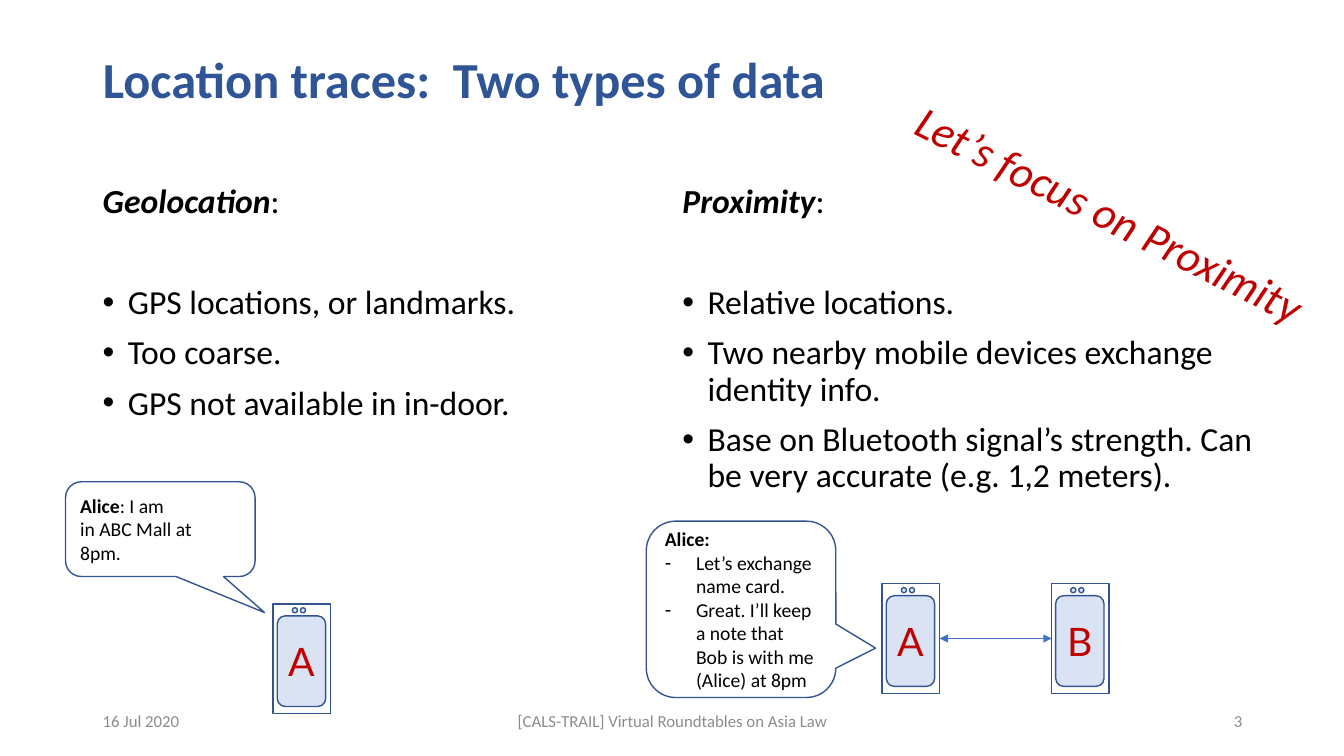
from dataclasses import dataclass

from lxml.etree import SubElement
from pptx import Presentation
from pptx.dml.color import RGBColor
from pptx.enum.shapes import MSO_CONNECTOR as Connector, MSO_SHAPE as Shape
from pptx.enum.text import MSO_ANCHOR as Anchor, MSO_AUTO_SIZE as AutoSize, PP_ALIGN as Align
from pptx.oxml.ns import qn
from pptx.util import Inches, Pt

COLORS = {
    "title": "2F5597",
    "text": "000000",
    "accent": "C00000",
    "outline": "325491",
    "screen": "DAE3F3",
    "arrow": "4472C4",
    "footer": "8C8C8C",
}


@dataclass(frozen=True)
class Run:
    text: str
    size: float
    color: str = "text"
    bold: bool = False
    italic: bool = False
    font: str = "Calibri"


@dataclass(frozen=True)
class Column:
    heading: str
    points: tuple[str, ...]
    left: float
    width: float
    height: float


@dataclass(frozen=True)
class Phone:
    letter: str
    left: float
    top: float


@dataclass(frozen=True)
class Callout:
    box: tuple[float, float, float, float]
    pointer: tuple[float, float]
    lines: tuple[tuple[Run, ...], ...]
    dashes: tuple[str, ...] = ()
    right_inset: float = 0.1


@dataclass(frozen=True)
class Footer:
    text: str
    left: float
    width: float
    align: Align


COLUMNS = (
    Column("Geolocation", ("GPS locations, or landmarks.", "Too coarse.",
                           "GPS not available in in-door."), 0.92, 4.76, 3.17),
    Column("Proximity", ("Relative locations.",
                         "Two nearby mobile devices exchange identity info.",
                         "Base on Bluetooth signal’s strength. Can be very accurate "
                         "(e.g. 1,2 meters)."), 6.67, 6.16, 4.97),
)
PHONES = (Phone("A", 2.71, 5.99), Phone("A", 8.75, 5.79), Phone("B", 10.43, 5.79))
CALLOUTS = (
    Callout((0.65, 4.78, 1.88, 0.94), (0.55, 0.88),
            ((Run("Alice", 14, bold=True), Run(": I am", 14)),
             (Run("in ABC Mall at 8pm.", 14),)), right_inset=0.25),
    Callout((6.41, 5.17, 1.88, 1.75), (0.71, 0.22),
            ((Run("Alice:", 14, bold=True),),),
            ("Let’s exchange name card.",
             "Great. I’ll keep a note that Bob is with me (Alice) at 8pm")),
)
FOOTERS = (
    Footer("16 Jul 2020", 0.92, 3, Align.LEFT),
    Footer("[CALS-TRAIL] Virtual Roundtables on Asia Law", 4.42, 4.5, Align.CENTER),
    Footer("3", 9.42, 3, Align.RIGHT),
)
PHONE_WIDTH, PHONE_HEIGHT = 0.57, 1.09


def color(name: str) -> RGBColor:
    return RGBColor.from_string(COLORS[name])


def add_runs(paragraph, *runs: Run) -> None:
    for item in runs:
        run = paragraph.add_run()
        run.text = item.text
        run.font.name = item.font
        run.font.size = Pt(item.size)
        run.font.bold = item.bold
        run.font.italic = item.italic
        run.font.color.rgb = color(item.color)


def add_bullet(paragraph, mark: str, indent: float) -> None:
    properties = paragraph._p.get_or_add_pPr()
    properties.set("marL", str(Inches(indent)))
    properties.set("indent", str(-Inches(indent)))
    SubElement(properties, qn("a:buFont"), typeface="Arial")
    SubElement(properties, qn("a:buChar"), char=mark)


def next_paragraph(frame):
    """Return the first paragraph while it is empty, otherwise a new one."""
    first = frame.paragraphs[0]
    return frame.add_paragraph() if first.runs else first


def add_text_frame(slide, left: float, top: float, width: float, height: float):
    box = slide.shapes.add_textbox(*map(Inches, (left, top, width, height)))
    box.text_frame.word_wrap = True
    return box.text_frame


def add_outlined(slide, kind: Shape, left: float, top: float, width: float,
                 height: float, fill: str | None = None):
    shape = slide.shapes.add_shape(kind, *map(Inches, (left, top, width, height)))
    shape.shadow.inherit = False
    shape.line.color.rgb = color("outline")
    shape.line.width = Pt(1)
    if fill:
        shape.fill.solid()
        shape.fill.fore_color.rgb = color(fill)
    else:
        shape.fill.background()
    return shape


def add_title(slide) -> None:
    title = slide.shapes.title
    title.left, title.top, title.width, title.height = map(Inches, (0.92, 0.4, 11.5, 0.83))
    frame = title.text_frame
    frame.auto_size = AutoSize.NONE
    frame.vertical_anchor = Anchor.MIDDLE
    paragraph = frame.paragraphs[0]
    paragraph.alignment = Align.LEFT
    paragraph.line_spacing = 0.9
    add_runs(paragraph, Run("Location traces:  Two types of data", 36, "title", bold=True))


def add_column(slide, column: Column) -> None:
    frame = add_text_frame(slide, column.left, 1.78, column.width, column.height)
    heading = frame.paragraphs[0]
    heading.line_spacing = 0.9
    add_runs(heading, Run(column.heading, 24, bold=True, italic=True), Run(":", 24))
    for index, point in enumerate(column.points):
        paragraph = frame.add_paragraph()
        paragraph.line_spacing = 0.9
        paragraph.space_before = Pt(10 if index else 46.4)
        add_bullet(paragraph, "•", 0.25)
        add_runs(paragraph, Run(point, 24))


def add_phone(slide, phone: Phone) -> None:
    add_outlined(slide, Shape.RECTANGLE, phone.left, phone.top, PHONE_WIDTH, PHONE_HEIGHT)
    screen = add_outlined(slide, Shape.ROUNDED_RECTANGLE, phone.left + 0.04,
                          phone.top + 0.12, 0.48, 0.9, "screen")
    frame = screen.text_frame
    frame.word_wrap = False
    frame.vertical_anchor = Anchor.MIDDLE
    frame.paragraphs[0].alignment = Align.CENTER
    add_runs(frame.paragraphs[0], Run(phone.letter, 28, "accent", font="Lato"))
    for offset in (0.19, 0.27):
        add_outlined(slide, Shape.OVAL, phone.left + offset, phone.top + 0.04,
                     0.05, 0.05, "screen")


def add_callout(slide, callout: Callout) -> None:
    shape = add_outlined(slide, Shape.ROUNDED_RECTANGULAR_CALLOUT, *callout.box)
    for index, value in enumerate((*callout.pointer, 0.167)):
        shape.adjustments[index] = value
    frame = shape.text_frame
    frame.word_wrap = True
    frame.vertical_anchor = Anchor.MIDDLE
    frame.margin_right = Inches(callout.right_inset)
    for runs in callout.lines:
        paragraph = next_paragraph(frame)
        paragraph.alignment = Align.LEFT
        add_runs(paragraph, *runs)
    for text in callout.dashes:
        paragraph = next_paragraph(frame)
        paragraph.alignment = Align.LEFT
        add_bullet(paragraph, "-", 0.31)
        add_runs(paragraph, Run(text, 14))


def add_double_arrow(slide, start: float, end: float, y: float) -> None:
    arrow = slide.shapes.add_connector(Connector.STRAIGHT, *map(Inches, (start, y, end, y)))
    arrow.line.color.rgb = color("arrow")
    arrow.line.width = Pt(0.5)
    for tag in ("a:headEnd", "a:tailEnd"):
        SubElement(arrow.line._get_or_add_ln(), qn(tag), type="triangle")
    SubElement(arrow._element.spPr, qn("a:effectLst"))


def add_footer(slide, footer: Footer) -> None:
    frame = add_text_frame(slide, footer.left, 6.95, footer.width, 0.4)
    frame.vertical_anchor = Anchor.MIDDLE
    frame.paragraphs[0].alignment = footer.align
    add_runs(frame.paragraphs[0], Run(footer.text, 12, "footer"))


def main() -> None:
    presentation = Presentation()
    presentation.slide_width, presentation.slide_height = Inches(13.33), Inches(7.5)
    slide = presentation.slides.add_slide(presentation.slide_layouts[5])
    add_title(slide)
    for column in COLUMNS:
        add_column(slide, column)
    focus = slide.shapes.add_textbox(*map(Inches, (8.77, 1.92, 4.95, 0.64)))
    focus.rotation = 26.8
    focus.text_frame.word_wrap = True
    add_runs(focus.text_frame.paragraphs[0],
             Run("Let’s focus on Proximity", 32, "accent", italic=True))
    for phone in PHONES:
        add_phone(slide, phone)
    sender, receiver = PHONES[1:]
    add_double_arrow(slide, sender.left + PHONE_WIDTH, receiver.left,
                     sender.top + PHONE_HEIGHT / 2)
    for callout in CALLOUTS:
        add_callout(slide, callout)
    for footer in FOOTERS:
        add_footer(slide, footer)
    presentation.save("out.pptx")


if __name__ == "__main__":
    main()
